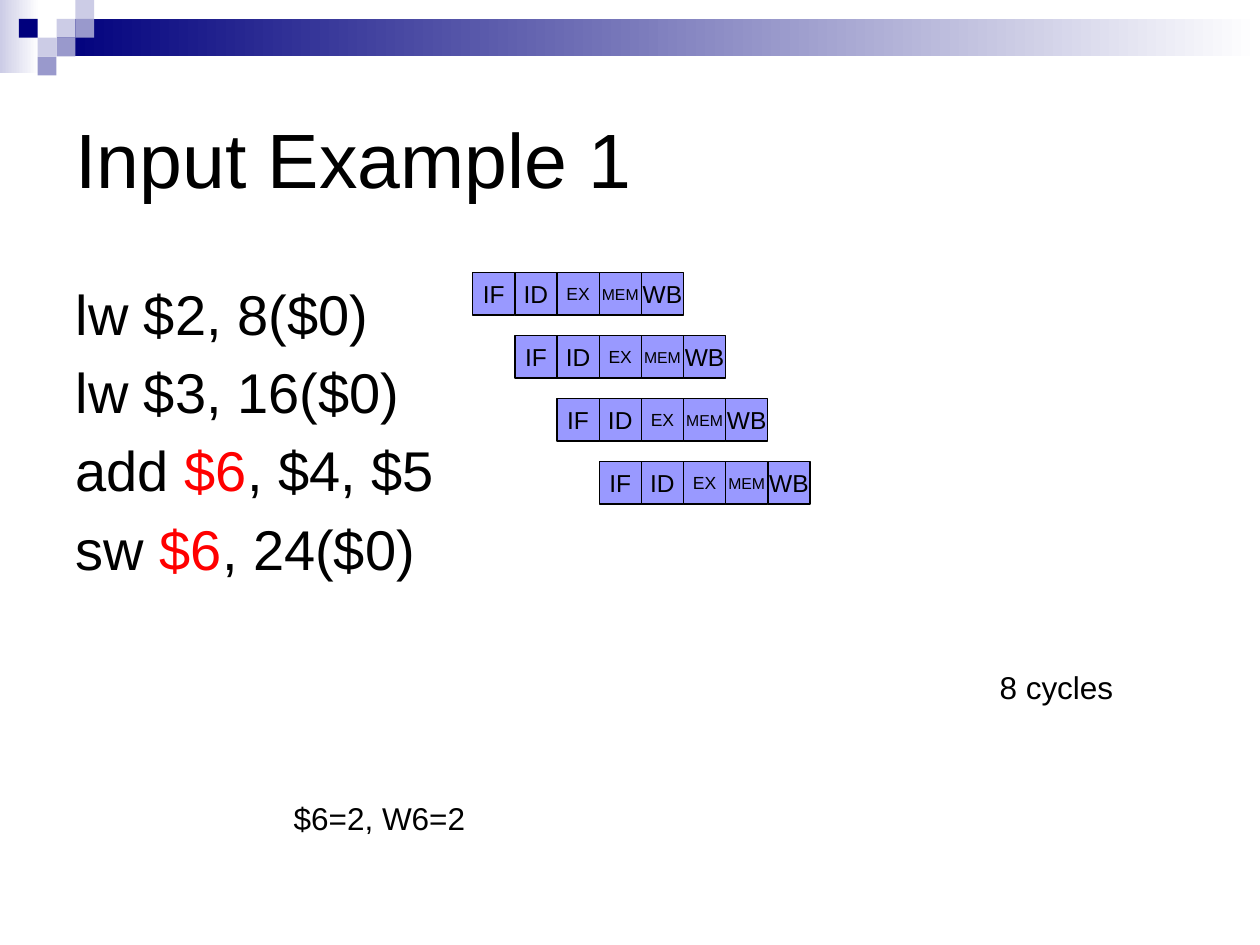
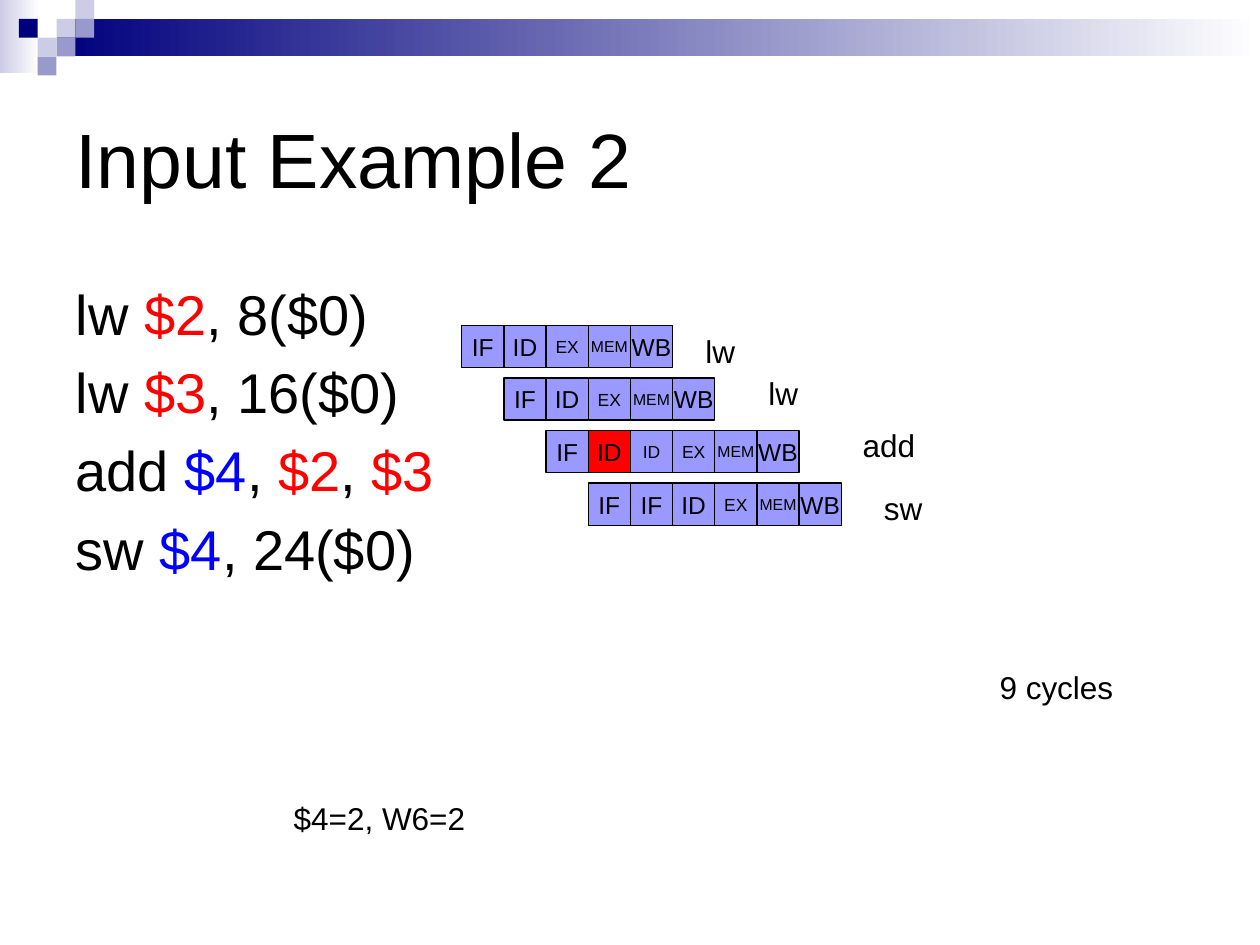
from collections import namedtuple

from lxml.etree import SubElement
from pptx import Presentation
from pptx.dml.color import RGBColor
from pptx.enum.shapes import MSO_SHAPE
from pptx.enum.text import MSO_ANCHOR, MSO_AUTO_SIZE, PP_ALIGN
from pptx.oxml.ns import qn
from pptx.util import Cm, Pt

FONT = "Arial"
BLACK, WHITE, RED, BLUE = "000000", "FFFFFF", "FF0000", "0000FF"
NAVY, MID, PALE = "00007D", "9999CC", "CCCCE6"
STAGE_FILL = "9999FF"

SLIDE_W, SLIDE_H = 25.4, 19.05
TILE = 0.38
CELL = 0.85
LABEL_H = 1.02

Stage = namedtuple("Stage", "name size fill", defaults=(14, STAGE_FILL))
IF, ID, WB = Stage("IF"), Stage("ID"), Stage("WB")
EX, MEM = Stage("EX", 10), Stage("MEM", 9)
STALLED_ID, RETRIED_ID = Stage("ID", fill=RED), Stage("ID", 10)
NO_STALL = [IF, ID, EX, MEM, WB]


def rgb(value):
    return RGBColor.from_string(value)


def set_font(font, size, color=BLACK):
    font.name = FONT
    font.size = Pt(size)
    font.color.rgb = rgb(color)


def add_rect(shapes, left, top, width, height):
    sp = shapes.add_shape(MSO_SHAPE.RECTANGLE, Cm(left), Cm(top), Cm(width), Cm(height))
    sp.shadow.inherit = False
    sp.line.fill.background()
    return sp


def fill_solid(sp, color):
    sp.fill.solid()
    sp.fill.fore_color.rgb = rgb(color)


def fill_fade(sp, color):
    """Fade from the colour at the left to white at the right."""
    sp.fill.gradient()
    sp.fill.gradient_angle = 0
    for stop, value in zip(sp.fill.gradient_stops, (color, WHITE)):
        stop.color.rgb = rgb(value)


def set_box(sp, left, top, width, height):
    sp.left, sp.top, sp.width, sp.height = Cm(left), Cm(top), Cm(width), Cm(height)


def style_layout(layout, slide):
    """Place the layout's title and body, and put the header band behind them."""
    title, body = layout.placeholders[0], layout.placeholders[1]
    set_box(title, 1.27, 1.27, 22.86, 3.81)
    set_box(body, 1.27, 5.5, 22.86, 10.8)

    band = slide.shapes.add_group_shape()
    fill_fade(add_rect(band.shapes, 0, 0, 0.79, 1.47), PALE)
    fill_fade(add_rect(band.shapes, 3 * TILE, TILE, SLIDE_W - 3 * TILE, 2 * TILE), NAVY)
    tiles = [(3, 1, PALE), (4, 0, PALE), (4, 1, MID), (2, 2, PALE),
             (1, 1, NAVY), (3, 2, MID), (2, 3, MID)]
    for col, row, color in tiles:
        fill_solid(add_rect(band.shapes, col * TILE, row * TILE, TILE, TILE), color)
    layout.element.cSld.spTree.insert(2, band.element)


def add_title(slide, text):
    tf = slide.shapes.title.text_frame
    tf.text = text
    tf.vertical_anchor = MSO_ANCHOR.MIDDLE
    p = tf.paragraphs[0]
    p.alignment = PP_ALIGN.LEFT
    set_font(p.font, 44)


def add_code(slide, lines, colors):
    """Fill the body with instructions; bars part the runs, colors maps registers."""
    tf = slide.placeholders[1].text_frame
    tf.auto_size = MSO_AUTO_SIZE.NONE
    for i, line in enumerate(lines):
        p = tf.paragraphs[0] if i == 0 else tf.add_paragraph()
        SubElement(p._p.get_or_add_pPr(), qn("a:buNone"))
        if i == 0:
            p.space_before = Pt(0)
        for part in line.split("|"):
            r = p.add_run()
            r.text = part
            set_font(r.font, 32, colors.get(part, BLACK))


def add_stage(shapes, stage, left, top):
    sp = add_rect(shapes, left, top, CELL, CELL)
    fill_solid(sp, stage.fill)
    sp.line.color.rgb = rgb(BLACK)
    sp.line.width = Pt(0.75)
    tf = sp.text_frame
    tf.word_wrap = False
    tf.vertical_anchor = MSO_ANCHOR.MIDDLE
    p = tf.paragraphs[0]
    p.text = stage.name
    p.alignment = PP_ALIGN.CENTER
    set_font(p.font, stage.size)


def add_pipeline(slide, left, top, row_step, rows):
    """Draw one row of stages per instruction, each starting a cycle later."""
    for i, stages in enumerate(rows):
        row = slide.shapes.add_group_shape()
        for j, stage in enumerate(stages):
            add_stage(row.shapes, stage, left + (i + j) * CELL, top + i * row_step)


def add_label(slide, text, left, top, width):
    sp = slide.shapes.add_textbox(Cm(left), Cm(top), Cm(width), Cm(LABEL_H))
    tf = sp.text_frame
    tf.word_wrap = False
    tf.auto_size = MSO_AUTO_SIZE.SHAPE_TO_FIT_TEXT
    p = tf.paragraphs[0]
    p.text = text
    set_font(p.font, 18)


def add_example(slide, title, lines, colors, cycles, result):
    add_title(slide, title)
    add_code(slide, lines, colors)
    add_label(slide, cycles, 19.9, 13.34, 2.82)
    add_label(slide, result, 5.67, 15.98, 3.96)


def add_independent_example(slide):
    add_example(slide, "Input Example 1",
                ["lw $2, 8($0)", "lw $3, 16($0)", "add |$6|, $4, $5", "sw |$6|, 24($0)"],
                {"$6": RED}, "8 cycles", "$6=2, W6=2")
    add_pipeline(slide, 9.53, 5.5, 1.27, [NO_STALL] * 4)


def add_stalled_example(slide):
    add_example(slide, "Input Example 2",
                ["lw |$2|, 8($0)", "lw |$3|, 16($0)", "add |$4|, |$2|, |$3", "sw |$4|, 24($0)"],
                {"$2": RED, "$3": RED, "$4": BLUE}, "9 cycles", "$4=2, W6=2")
    left, top = 9.31, 6.56
    add_pipeline(slide, left, top, 1.06, [
        NO_STALL,
        NO_STALL,
        [IF, STALLED_ID, RETRIED_ID, EX, MEM, WB],
        [IF, IF, ID, EX, MEM, WB],
    ])
    labels = [("lw", 4.66, 0, 1.12), ("lw", 5.93, 0.85, 1.12),
              ("add", 7.83, 1.9, 1.57), ("sw", 8.26, 3.18, 1.3)]
    for text, dx, dy, width in labels:
        add_label(slide, text, left + dx, top + dy, width)


def main():
    prs = Presentation()
    prs.slide_width, prs.slide_height = Cm(SLIDE_W), Cm(SLIDE_H)
    layout = prs.slide_layouts[1]
    first, second = (prs.slides.add_slide(layout) for _ in range(2))
    style_layout(layout, first)
    add_independent_example(first)
    add_stalled_example(second)
    prs.save("out.pptx")


if __name__ == "__main__":
    main()
